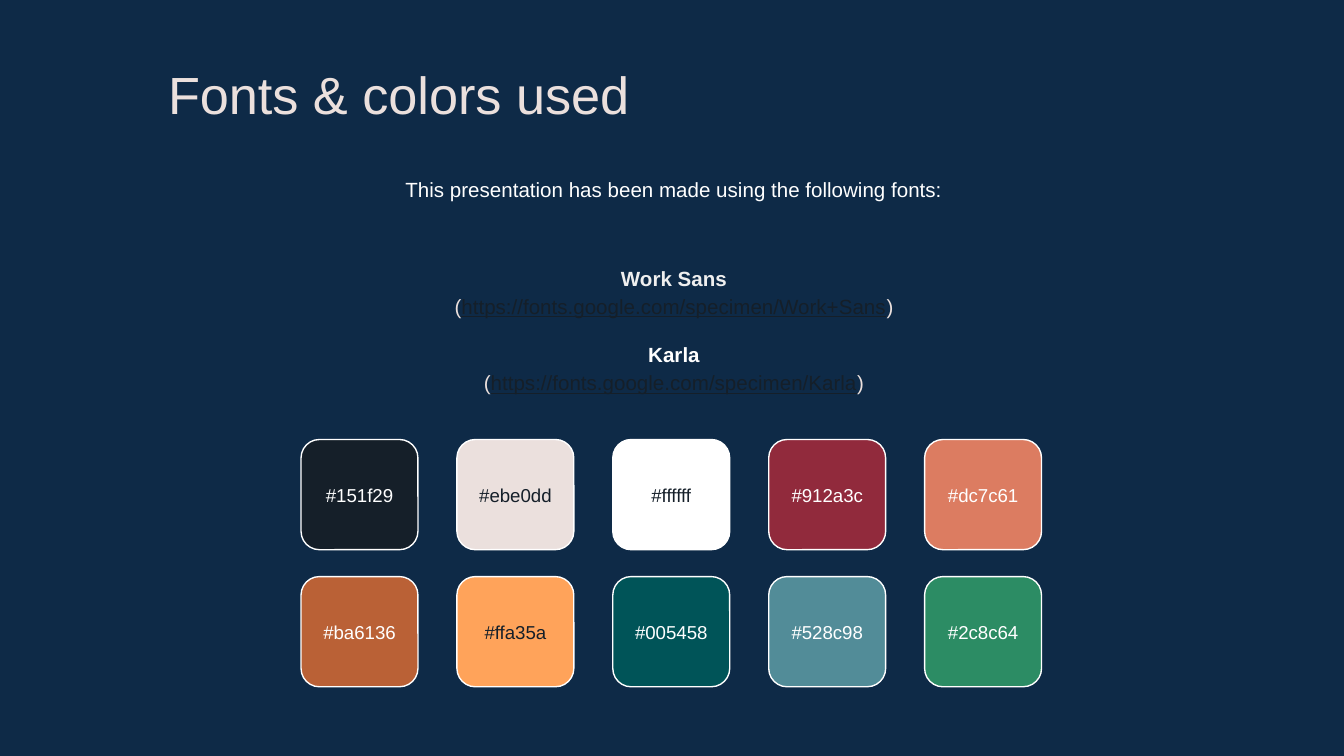
from pptx import Presentation
from pptx.dml.color import RGBColor
from pptx.enum.shapes import MSO_SHAPE as Shape
from pptx.enum.text import MSO_ANCHOR as Anchor, MSO_AUTO_SIZE as AutoSize, PP_ALIGN as Align
from pptx.util import Inches, Pt

COLORS = {
    "background": "0E2A47",
    "title": "EBE0DD",
    "white": "FFFFFF",
    "soft_white": "EFEFEF",
    "dark": "151F29",
}
FONTS_USED = [
    ("Work Sans", "https://fonts.google.com/specimen/Work+Sans", "soft_white"),
    ("Karla", "https://fonts.google.com/specimen/Karla", "white"),
]
SWATCHES = [
    ["151f29", "ebe0dd", "ffffff", "912a3c", "dc7c61"],
    ["ba6136", "ffa35a", "005458", "528c98", "2c8c64"],
]
DARK_LABELS = {"ebe0dd", "ffffff", "ffa35a"}


def set_font(font, size, color):
    font.name = "Arial"
    font.size = Pt(size)
    font.color.rgb = RGBColor.from_string(COLORS[color])


def set_frame(frame, anchor, margin):
    frame.word_wrap = True
    frame.auto_size = AutoSize.NONE
    frame.vertical_anchor = anchor
    frame.margin_left = frame.margin_right = Inches(margin)
    frame.margin_top = frame.margin_bottom = Inches(margin)


deck = Presentation()
deck.slide_width = Inches(10)
deck.slide_height = deck.slide_width * 9 // 16
page = deck.slides.add_slide(deck.slide_layouts[5])
page.background.fill.solid()
page.background.fill.fore_color.rgb = RGBColor.from_string(COLORS["background"])

# Title
title = page.shapes.title
title.left, title.top = Inches(1.15), Inches(0.36)
title.width, title.height = Inches(7.71), Inches(0.53)
set_frame(title.text_frame, Anchor.TOP, 0.1)
para = title.text_frame.paragraphs[0]
para.text = "Fonts & colors used"
para.alignment = Align.LEFT
set_font(para.font, 28, "title")

# Introduction
intro = page.shapes.add_textbox(Inches(1.16), Inches(1.19), Inches(7.71), Inches(0.48))
set_frame(intro.text_frame, Anchor.TOP, 0.1)
para = intro.text_frame.paragraphs[0]
para.text = "This presentation has been made using the following fonts:"
para.alignment = Align.CENTER
para.line_spacing = 1.15
set_font(para.font, 11, "white")

# Font names with their addresses
font_box = page.shapes.add_textbox(Inches(1.16), Inches(1.76), Inches(7.71), Inches(1.37))
frame = font_box.text_frame
set_frame(frame, Anchor.MIDDLE, 0.1)
for index, (name, address, name_color) in enumerate(FONTS_USED):
    para = frame.add_paragraph() if index else frame.paragraphs[0]
    para.text = name
    if index:
        para.space_before = Pt(10.6)
    set_font(para.font, 11, name_color)
    para.font.bold = True

    para = frame.add_paragraph()
    for text, color in [("(", "title"), (address, "dark"), (")", "title")]:
        span = para.add_run()
        span.text = text
        set_font(span.font, 11, color)
        span.font.underline = text == address
for para in frame.paragraphs:
    para.alignment = Align.CENTER
    para.line_spacing = 1.15

# Color swatches
for row, codes in enumerate(SWATCHES):
    for column, code in enumerate(codes):
        swatch = page.shapes.add_shape(
            Shape.ROUNDED_RECTANGLE,
            Inches(2.24 + 1.16 * column), Inches(3.27 + 1.02 * row),
            Inches(0.87), Inches(0.82),
        )
        swatch.shadow.inherit = False
        swatch.fill.solid()
        swatch.fill.fore_color.rgb = RGBColor.from_string(code.upper())
        swatch.line.color.rgb = RGBColor.from_string(COLORS["white"])
        swatch.line.width = Pt(0.75)
        set_frame(swatch.text_frame, Anchor.MIDDLE, 0)
        para = swatch.text_frame.paragraphs[0]
        para.text = f"#{code}"
        para.alignment = Align.CENTER
        set_font(para.font, 10, "dark" if code in DARK_LABELS else "white")

deck.save("out.pptx")
